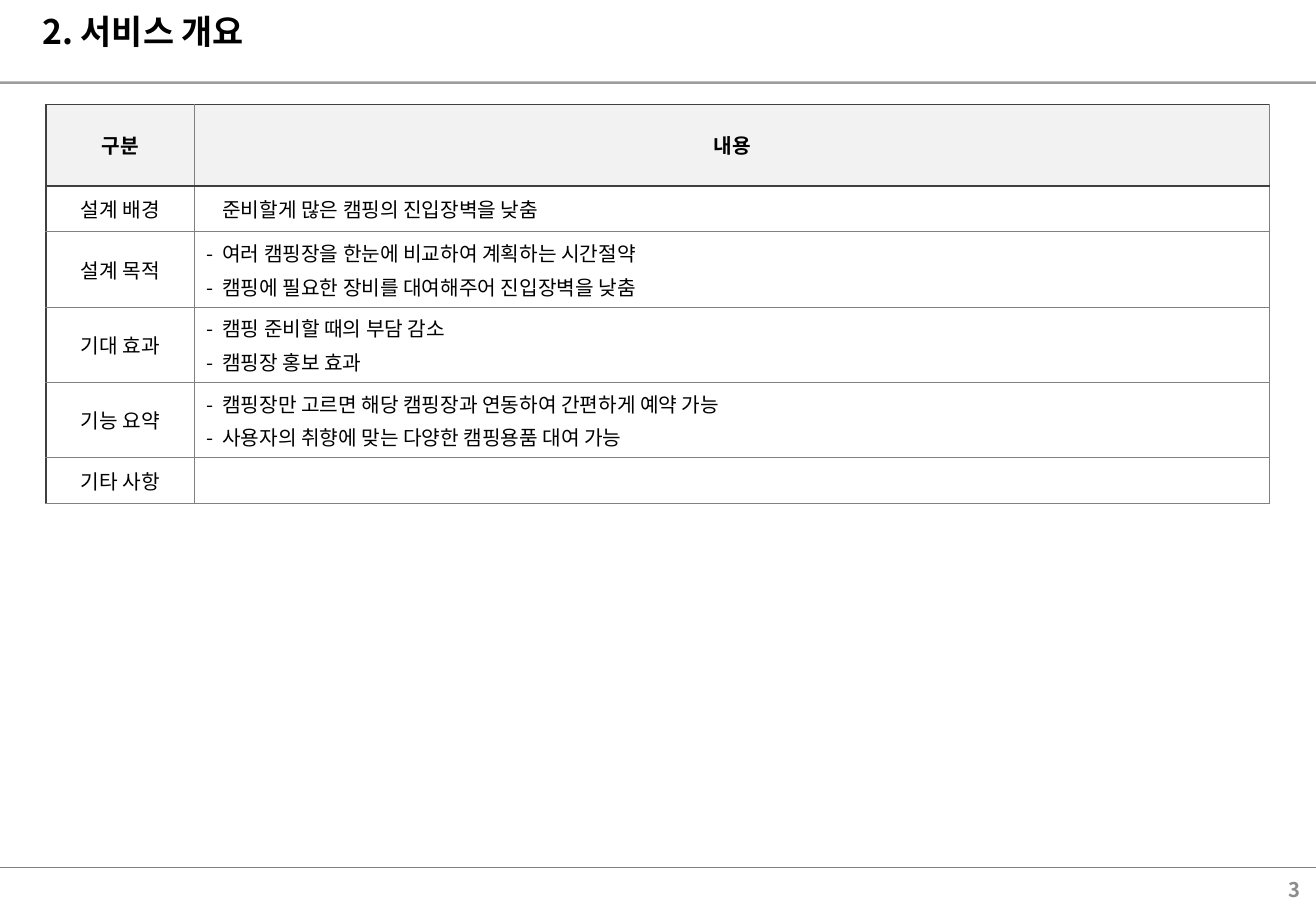
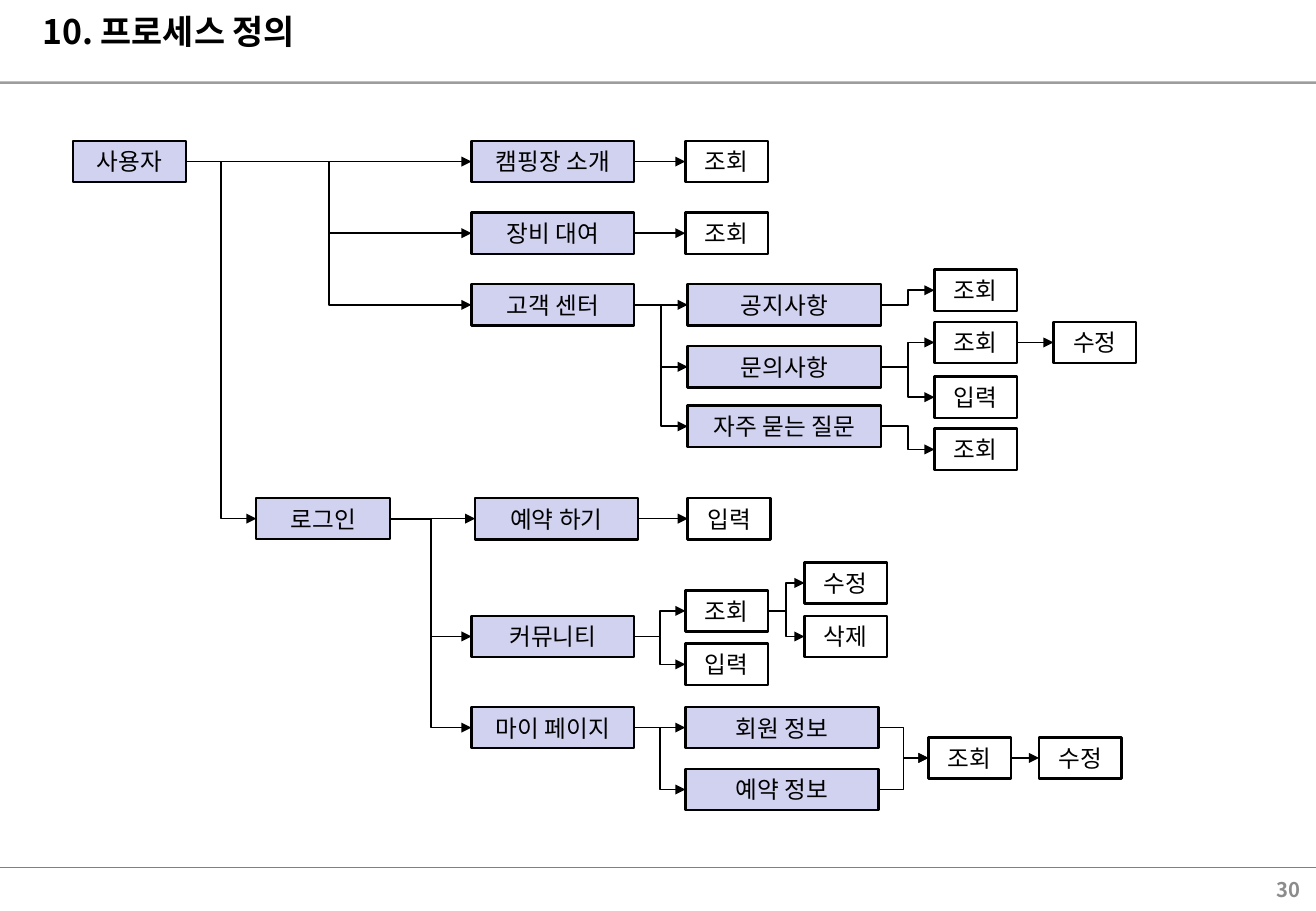
from lxml import etree
from pptx import Presentation
from pptx import util as u
from pptx.dml import color
from pptx.enum import shapes, text
from pptx.oxml import ns

FONT = "Noto Sans CJK KR"
BLACK, GRAY, DARK_GRAY = "000000", "808080", "404040"
PAGE_GRAY, HEADER_FILL, MENU_FILL = "8C8C8C", "F2F2F2", "D1D1F0"
SLIDE_WIDTH, SLIDE_HEIGHT = 10.83, 7.5
BOX_HEIGHT = 0.34
HANG = 0.13
LEFT, CENTER, RIGHT = text.PP_ALIGN.LEFT, text.PP_ALIGN.CENTER, text.PP_ALIGN.RIGHT

OVERVIEW = [
    ("설계 배경", ["준비할게 많은 캠핑의 진입장벽을 낮춤"]),
    ("설계 목적", ["여러 캠핑장을 한눈에 비교하여 계획하는 시간절약",
               "캠핑에 필요한 장비를 대여해주어 진입장벽을 낮춤"]),
    ("기대 효과", ["캠핑 준비할 때의 부담 감소", "캠핑장 홍보 효과"]),
    ("기능 요약", ["캠핑장만 고르면 해당 캠핑장과 연동하여 간편하게 예약 가능",
               "사용자의 취향에 맞는 다양한 캠핑용품 대여 가능"]),
    ("기타 사항", []),
]

ACTORS = [
    ("user", "사용자", 0.6, 1.16, 0.93),
    ("login", "로그인", 2.11, 4.1, 1.1),
]
MENUS = [
    ("camps", "캠핑장 소개", 3.88, 1.16, 1.34),
    ("rental", "장비 대여", 3.88, 1.75, 1.34),
    ("support", "고객 센터", 3.88, 2.34, 1.34),
    ("booking", "예약 하기", 3.91, 4.1, 1.34),
    ("community", "커뮤니티", 3.88, 5.07, 1.34),
    ("my page", "마이 페이지", 3.88, 5.82, 1.34),
    ("notice", "공지사항", 5.66, 2.34, 1.59),
    ("inquiry", "문의사항", 5.66, 2.85, 1.59),
    ("faq", "자주 묻는 질문", 5.66, 3.34, 1.59),
    ("member", "회원 정보", 5.64, 5.82, 1.59),
    ("bookings", "예약 정보", 5.64, 6.33, 1.59),
]
ACTIONS = [
    ("camps view", "조회", 5.64, 1.16, 0.68),
    ("rental view", "조회", 5.64, 1.75, 0.68),
    ("notice view", "조회", 7.69, 2.22, 0.68),
    ("inquiry view", "조회", 7.69, 2.65, 0.68),
    ("inquiry edit", "수정", 8.67, 2.65, 0.68),
    ("inquiry add", "입력", 7.69, 3.1, 0.68),
    ("faq view", "조회", 7.69, 3.53, 0.68),
    ("booking add", "입력", 5.66, 4.1, 0.68),
    ("community view", "조회", 5.64, 4.86, 0.68),
    ("community add", "입력", 5.64, 5.3, 0.68),
    ("community edit", "수정", 6.62, 4.63, 0.68),
    ("community delete", "삭제", 6.62, 5.07, 0.68),
    ("my view", "조회", 7.64, 6.07, 0.68),
    ("my edit", "수정", 8.55, 6.07, 0.68),
]
FLOWS = {
    "user": ["camps", "rental", "support", "login"],
    "login": ["booking", "community", "my page"],
    "camps": ["camps view"],
    "rental": ["rental view"],
    "support": ["notice", "inquiry", "faq"],
    "notice": ["notice view"],
    "inquiry": ["inquiry view", "inquiry add"],
    "inquiry view": ["inquiry edit"],
    "faq": ["faq view"],
    "booking": ["booking add"],
    "community": ["community view", "community add"],
    "community view": ["community edit", "community delete"],
    "my page": ["member", "bookings"],
    "member": ["my view"],
    "bookings": ["my view"],
    "my view": ["my edit"],
}


def rgb(value):
    return color.RGBColor.from_string(value)


def add_xml(parent, tag, **attributes):
    return etree.SubElement(parent, ns.qn(tag), attributes)


def style(paragraph, size, align=LEFT, ink=BLACK, bold=False):
    paragraph.alignment = align
    font = paragraph.font
    font.name, font.size, font.bold = FONT, u.Pt(size), bold
    font.color.rgb = rgb(ink)
    defaults = paragraph._p.pPr.find(ns.qn("a:defRPr"))
    add_xml(defaults, "a:ea", typeface=FONT)


def add_text(slide, content, left, top, width, height, size, align, ink):
    frame = slide.shapes.add_textbox(
        u.Inches(left), u.Inches(top), u.Inches(width), u.Inches(height)).text_frame
    frame.word_wrap = True
    frame.margin_top = frame.margin_bottom = 0
    frame.paragraphs[0].text = content
    style(frame.paragraphs[0], size, align, ink, True)
    return frame


def add_line(slide, kind, start, end, ink, width):
    line = slide.shapes.add_connector(kind, *(u.Inches(n) for n in (*start, *end)))
    line.line.color.rgb = rgb(ink)
    line.line.width = u.Pt(width)
    add_xml(line._element.spPr, "a:effectLst")
    return line


def add_page(deck, title, number):
    slide = deck.slides.add_slide(deck.slide_layouts[6])
    straight = shapes.MSO_CONNECTOR.STRAIGHT
    add_line(slide, straight, (0, 7.14), (SLIDE_WIDTH, 7.14), GRAY, 0.75)
    title_rule = add_line(slide, straight, (0, 0.68), (SLIDE_WIDTH, 0.68), GRAY, 1.5)
    ink = title_rule._element.spPr.find(".//" + ns.qn("a:srgbClr"))
    add_xml(ink, "a:alpha", val="76000")
    add_text(slide, title, 0.25, 0.09, 10.43, 0.49, 20, LEFT, BLACK)
    footer = add_text(slide, number, 8.36, 7.17, 2.44, 0.31, 12, RIGHT, PAGE_GRAY)
    footer.vertical_anchor = text.MSO_ANCHOR.MIDDLE
    return slide


def add_borders(cell, row, column):
    dark = {
        "L": column == 0,
        "R": False,
        "T": row <= 1,
        "B": row == 0,
    }
    properties = cell._tc.get_or_add_tcPr()
    for side, is_dark in dark.items():
        border = add_xml(properties, "a:ln" + side,
                         w=str(u.Pt(1 if is_dark else 0.75)))
        fill = add_xml(border, "a:solidFill")
        add_xml(fill, "a:srgbClr", val=DARK_GRAY if is_dark else GRAY)


def fill_cell(cell, lines, align, bold=False, hanging=False):
    cell.vertical_anchor = text.MSO_ANCHOR.MIDDLE
    frame = cell.text_frame
    for index, content in enumerate(lines or [""]):
        paragraph = frame.add_paragraph() if index else frame.paragraphs[0]
        paragraph.text = content
        if index:
            paragraph.space_before = u.Pt(2.4)
        if hanging and content:
            properties = paragraph._p.get_or_add_pPr()
            properties.set("marL", str(u.Inches(HANG)))
            if len(lines) > 1:
                properties.set("indent", str(u.Inches(-HANG)))
                add_xml(properties, "a:buFont", typeface=FONT)
                add_xml(properties, "a:buChar", char="-")
        style(paragraph, 12, align, bold=bold)


def add_overview(slide):
    heights = [0.67] + [0.62 if len(lines) > 1 else 0.38 for _, lines in OVERVIEW]
    widths = [1.22, 8.85]
    table = slide.shapes.add_table(
        len(heights), len(widths), u.Inches(0.38), u.Inches(0.86),
        u.Inches(sum(widths)), u.Inches(sum(heights))).table
    table.first_row = table.horz_banding = False
    for column, width in zip(table.columns, widths):
        column.width = u.Inches(width)
    for row, height in zip(table.rows, heights):
        row.height = u.Inches(height)
    for column, heading in enumerate(("구분", "내용")):
        fill_cell(table.cell(0, column), [heading], CENTER, bold=True)
    for row, (topic, lines) in enumerate(OVERVIEW, 1):
        fill_cell(table.cell(row, 0), [topic], CENTER)
        fill_cell(table.cell(row, 1), lines, LEFT, hanging=True)
    for row in range(len(heights)):
        for column in range(len(widths)):
            cell = table.cell(row, column)
            add_borders(cell, row, column)
            if row == 0:
                cell.fill.solid()
                cell.fill.fore_color.rgb = rgb(HEADER_FILL)
            else:
                cell.fill.background()


def add_box(slide, label, left, top, width, fill, outline):
    box = slide.shapes.add_shape(
        shapes.MSO_SHAPE.RECTANGLE, u.Inches(left), u.Inches(top),
        u.Inches(width), u.Inches(BOX_HEIGHT))
    box.shadow.inherit = False
    if fill:
        box.fill.solid()
        box.fill.fore_color.rgb = rgb(fill)
    else:
        box.fill.background()
    box.line.color.rgb = rgb(BLACK)
    box.line.width = u.Pt(outline)
    frame = box.text_frame
    frame.margin_top = frame.margin_bottom = 0
    frame.vertical_anchor = text.MSO_ANCHOR.MIDDLE
    frame.paragraphs[0].text = label
    style(frame.paragraphs[0], 14, CENTER)
    return box


def add_arrow(slide, source, target):
    kinds = shapes.MSO_CONNECTOR
    kind = kinds.STRAIGHT if source.top == target.top else kinds.ELBOW
    arrow = add_line(slide, kind, (0, 0), (1, 1), BLACK, 1)
    arrow.begin_connect(source, 3)
    arrow.end_connect(target, 1)
    add_xml(arrow.line._get_or_add_ln(), "a:tailEnd", type="triangle")


def add_process(slide):
    boxes = {}
    for group, fill, outline in ((ACTORS, MENU_FILL, 1), (MENUS, MENU_FILL, 1.5),
                                 (ACTIONS, None, 1.5)):
        for key, label, left, top, width in group:
            boxes[key] = add_box(slide, label, left, top, width, fill, outline)
    for source, targets in FLOWS.items():
        for target in targets:
            add_arrow(slide, boxes[source], boxes[target])


def main():
    deck = Presentation()
    deck.slide_width = u.Inches(SLIDE_WIDTH)
    deck.slide_height = u.Inches(SLIDE_HEIGHT)
    add_overview(add_page(deck, "2. 서비스 개요", "3"))
    add_process(add_page(deck, "10. 프로세스 정의", "30"))
    deck.save("out.pptx")


if __name__ == "__main__":
    main()
